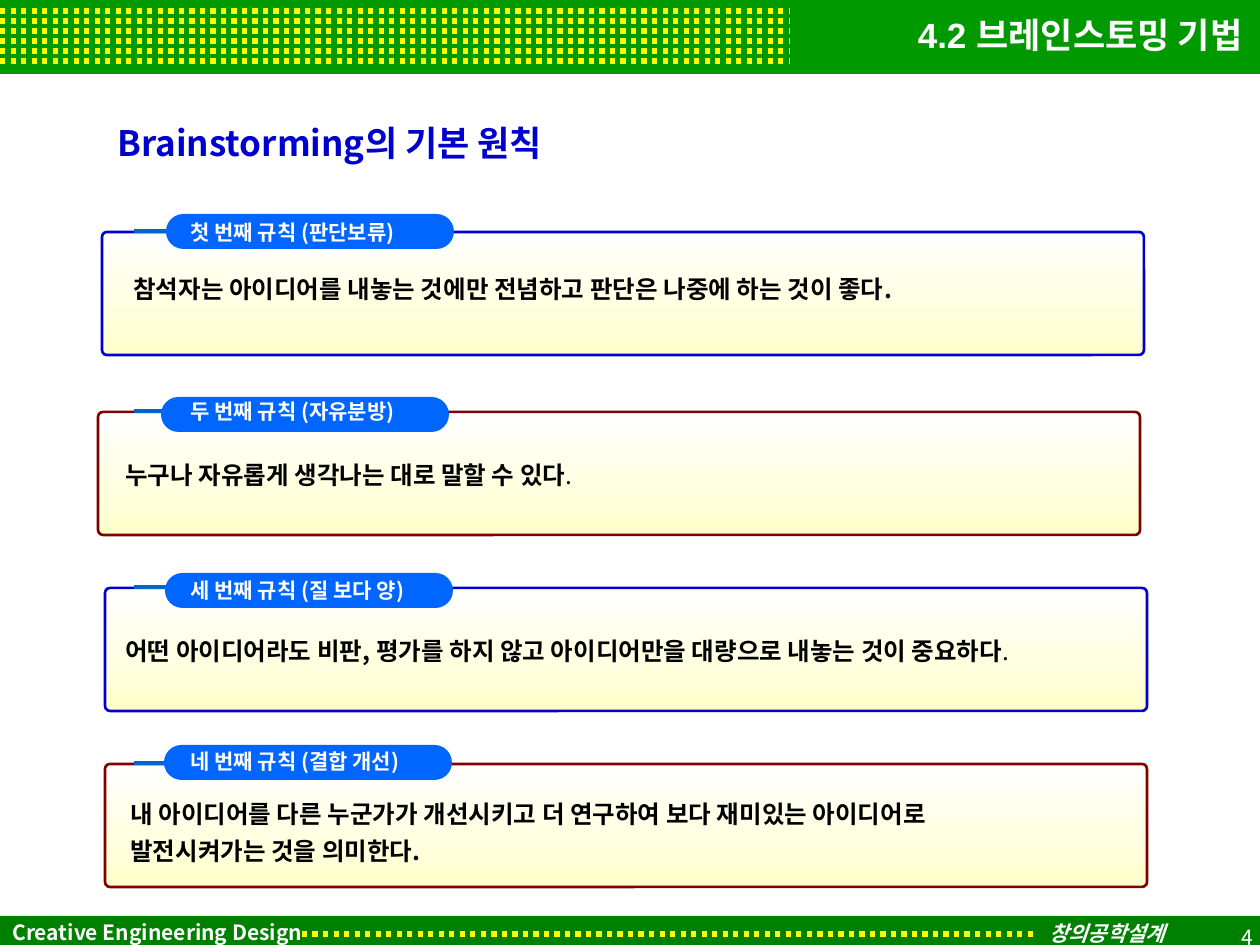
from lxml import etree
from pptx import Presentation
from pptx.dml.color import RGBColor
from pptx.enum.dml import MSO_LINE
from pptx.enum.shapes import MSO_CONNECTOR, MSO_SHAPE
from pptx.enum.text import MSO_ANCHOR, PP_ALIGN
from pptx.oxml import parse_xml
from pptx.oxml.ns import nsdecls, qn
from pptx.util import Emu, Pt

RECT, ROUNDED = MSO_SHAPE.RECTANGLE, MSO_SHAPE.ROUNDED_RECTANGLE
STRAIGHT, DOTTED = MSO_CONNECTOR.STRAIGHT, MSO_LINE.ROUND_DOT
MIDDLE, TOP = MSO_ANCHOR.MIDDLE, MSO_ANCHOR.TOP
LEFT, RIGHT = PP_ALIGN.LEFT, PP_ALIGN.RIGHT

WHITE = RGBColor(0xFF, 0xFF, 0xFF)
BLACK = RGBColor(0x00, 0x00, 0x00)
YELLOW = RGBColor(0xFF, 0xFF, 0x00)
CREAM = RGBColor(0xFF, 0xFF, 0xCC)
HEADER_GREEN = RGBColor(0x00, 0x99, 0x00)
FOOTER_GREEN = RGBColor(0x00, 0x80, 0x00)
NAVY = RGBColor(0x00, 0x00, 0xCC)
MAROON = RGBColor(0x80, 0x00, 0x00)
PILL_BLUE = RGBColor(0x00, 0x66, 0xFF)
DASH_BLUE = RGBColor(0x00, 0x66, 0xCC)

SANS, KOREAN = "Arial", "Noto Sans CJK KR"
PX_PER_INCH = 126
SLIDE_W, SLIDE_H = 1260, 945
CARD_W, CARD_H = 1042, 123

# Card left and top, border; offsets of pill, label and body; label; body lines of (text, bold) runs
RULES = [
    (102, 232, NAVY, (64, -18), (76, -19), (19, 36), "첫 번째 규칙 (판단보류)",
     [[("참석자는 아이디어를 내놓는 것에만 전념하고 판단은 나중에 하는 것이 좋다.", True)]]),
    (98, 412, MAROON, (63, -15), (80, -20), (15, 42), "두 번째 규칙 (자유분방)",
     [[("누구나 자유롭게 생각나는 대로 말할 수 있다", True), (".", False)]]),
    (105, 588, NAVY, (60, -15), (73, -17), (8, 42), "세 번째 규칙 (질 보다 양)",
     [[("어떤 아이디어라도 비판, 평가를 하지 않고 아이디어만을 대량으로 내놓는 것이 중요하다", True),
       (".", False)]]),
    (105, 764, MAROON, (59, -19), (73, -22), (13, 29), "네 번째 규칙 (결합 개선)",
     [[("내 아이디어를 다른 누군가가 개선시키고 더 연구하여 보다 재미있는 아이디어로", True)],
      [("발전시켜가는 것을 의미한다.", True)]]),
]


def px(length):
    return Emu(round(length * 914400 / PX_PER_INCH))


def add_line(slide, x1, x2, y, color, width, dash=None):
    line = slide.shapes.add_connector(STRAIGHT, px(x1), px(y), px(x2), px(y))
    line.line.color.rgb = color
    line.line.width = Pt(width)
    if dash:
        line.line.dash_style = dash
    etree.SubElement(line._element.spPr, qn("a:effectLst"))


def add_block(slide, kind, x, y, w, h, fill=None):
    """Add a borderless preset shape, left unfilled for the caller when fill is None."""
    block = slide.shapes.add_shape(kind, px(x), px(y), px(w), px(h))
    block.shadow.inherit = False
    block.line.fill.background()
    if fill is not None:
        block.fill.solid()
        block.fill.fore_color.rgb = fill
    return block


def add_run(paragraph, text, size, color, font=KOREAN, bold=True, italic=False, shadow=False):
    run = paragraph.add_run()
    run.text = text
    run.font.size = Pt(size)
    run.font.bold = bold
    run.font.italic = italic
    run.font.color.rgb = color
    run.font.name = font
    latin = run.font._element.find(qn("a:latin"))
    if font == KOREAN:
        latin.addnext(parse_xml(f'<a:ea {nsdecls("a")} typeface="{font}"/>'))
    if shadow:
        latin.addprevious(parse_xml(
            f'<a:effectLst {nsdecls("a")}><a:outerShdw dist="38100" dir="2700000">'
            '<a:srgbClr val="000000"/></a:outerShdw></a:effectLst>'))


def set_frame(shape, anchor=TOP, align=LEFT):
    """Prepare the text frame and return its first paragraph."""
    frame = shape.text_frame
    frame.word_wrap = True
    frame.vertical_anchor = anchor
    frame.paragraphs[0].alignment = align
    return frame.paragraphs[0]


def add_text_box(slide, x, y, w, h):
    return slide.shapes.add_textbox(px(x), px(y), px(w), px(h))


def add_header(slide, x, y, w, h):
    add_block(slide, RECT, x, y, w, h, HEADER_GREEN)
    for row in range(6):
        add_line(slide, x, x + 789, y + 11 + 10 * row, YELLOW, 3, DOTTED)
    title = slide.shapes.title
    title.left, title.top, title.width, title.height = px(x + 64), px(y), px(w - 69), px(h - 6)
    add_run(set_frame(title, MIDDLE, RIGHT), "4.2 브레인스토밍 기법", 20, WHITE, SANS)
    slide.shapes._spTree.append(title._element)  # bring in front of the band


def add_footer(slide, x, y, w, h):
    band = add_block(slide, RECT, x, y, w, h, FOOTER_GREEN)
    add_run(set_frame(band, MIDDLE), "Creative Engineering Design", 12, WHITE)
    add_line(slide, x + 302, x + 1037, y + 18, YELLOW, 3, DOTTED)
    course = add_text_box(slide, x + 1037, y + 3, 150, 29)
    add_run(set_frame(course, MIDDLE), "창의공학설계", 12, WHITE, SANS, italic=True)
    number = set_frame(add_text_box(slide, x + 982, y - 8, 284, 50), MIDDLE, RIGHT)
    number.line_spacing = 1.3
    add_run(number, "4", 12, WHITE, bold=False)


def add_rule_card(slide, x, y, border, pill_at, label_at, body_at, label, body_lines):
    card = add_block(slide, ROUNDED, x, y, CARD_W, CARD_H)
    card.adjustments[0] = 0.04
    card.fill.gradient()
    card.fill.gradient_angle = 270
    for stop, color in zip(card.fill.gradient_stops, (WHITE, CREAM)):
        stop.color.rgb = color
    card.line.color.rgb = border
    card.line.width = Pt(1.5)

    add_line(slide, 134, 183, y - 1, DASH_BLUE, 2.25)
    pill = add_block(slide, ROUNDED, x + pill_at[0], y + pill_at[1], 288, 35, PILL_BLUE)
    pill.adjustments[0] = 0.5
    label_box = add_text_box(slide, x + label_at[0], y + label_at[1], 275, 38)
    add_run(set_frame(label_box), label, 12, WHITE, shadow=True)

    body = add_text_box(slide, x + body_at[0], y + body_at[1], 1022, 42 * len(body_lines))
    paragraph = set_frame(body)
    for index, runs in enumerate(body_lines):
        if index:
            paragraph = body.text_frame.add_paragraph()
            paragraph.space_before = Pt(4)
        for text, bold in runs:
            add_run(paragraph, text, 14, BLACK, bold=bold)


def main():
    prs = Presentation()
    prs.slide_width, prs.slide_height = px(SLIDE_W), px(SLIDE_H)
    slide = prs.slides.add_slide(prs.slide_layouts[5])
    add_header(slide, 0, 0, SLIDE_W, 74)
    add_footer(slide, 0, 916, SLIDE_W, 33)
    heading = add_text_box(slide, 105, 115, 753, 55)
    add_run(set_frame(heading), "Brainstorming의 기본 원칙", 20, NAVY)
    for rule in RULES:
        add_rule_card(slide, *rule)
    prs.save("out.pptx")


if __name__ == "__main__":
    main()
